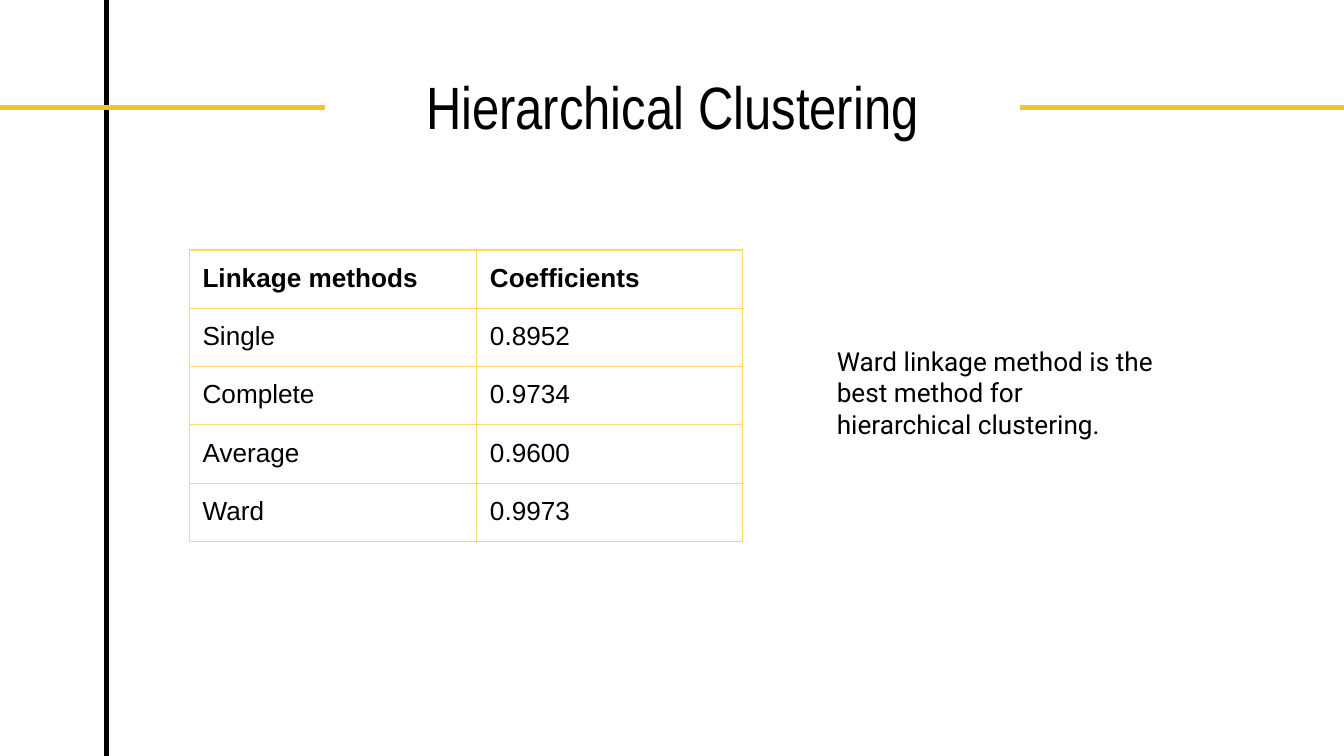
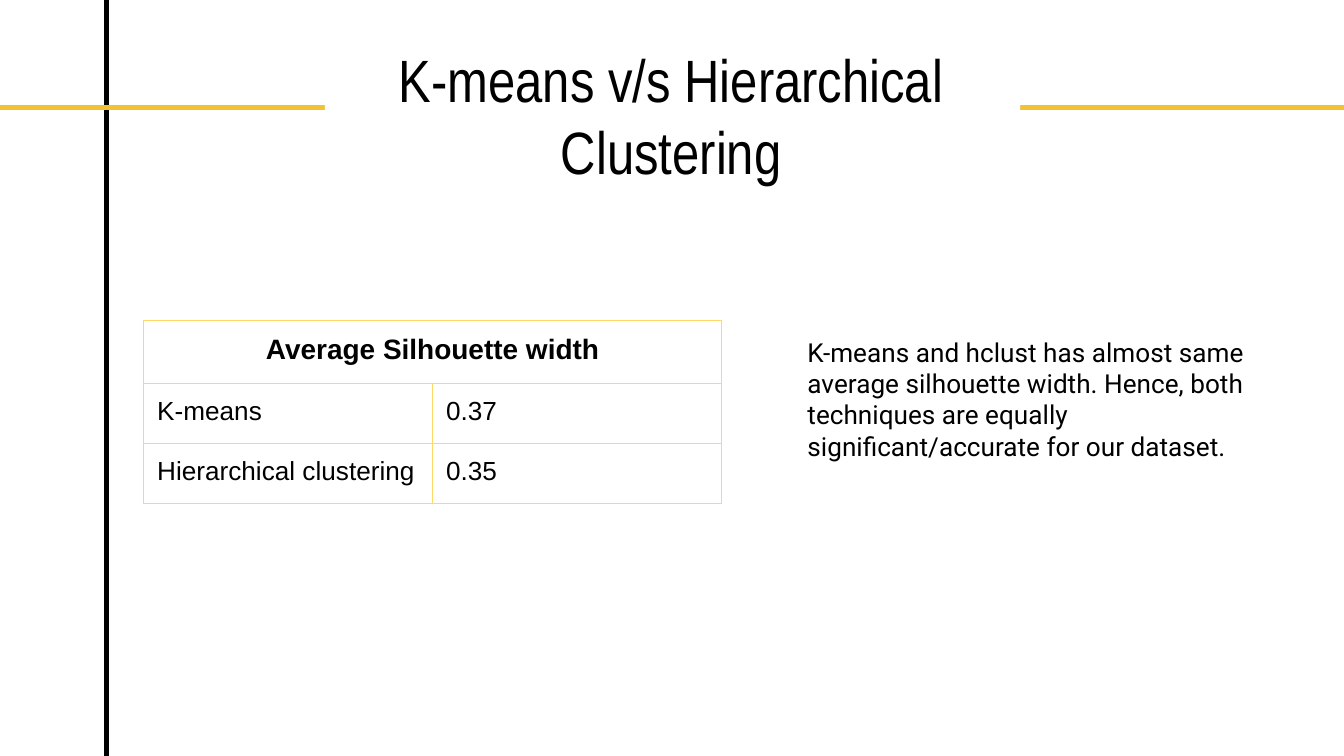
from lxml.etree import SubElement
from pptx import Presentation
from pptx.dml.color import RGBColor
from pptx.enum.shapes import MSO_CONNECTOR, MSO_SHAPE
from pptx.enum.text import MSO_ANCHOR, PP_ALIGN
from pptx.oxml import parse_xml
from pptx.oxml.ns import nsdecls, qn
from pptx.util import Pt

WIDE, HIGH = 720, 405
PAD = Pt(7.2)
COLORS = {"ink": "000000", "gold": "F1C232", "grid": "FFD966", "page": "FFFFFF"}


def style(frame, text, font, size, bold=False, align=PP_ALIGN.LEFT):
    frame.text = text
    frame.word_wrap = True
    para = frame.paragraphs[0]
    para.alignment = align
    face = para.runs[0].font
    face.name, face.size, face.bold = font, Pt(size), bold
    face.color.rgb = RGBColor.from_string(COLORS["ink"])


def add_text(slide, box, text, font, size, align=PP_ALIGN.LEFT):
    frame = slide.shapes.add_textbox(*map(Pt, box)).text_frame
    frame.margin_left = frame.margin_right = PAD
    frame.margin_top = frame.margin_bottom = PAD
    frame.vertical_anchor = MSO_ANCHOR.TOP
    style(frame, text, font, size, align=align)


pages = [
    {
        "title": "Hierarchical Clustering",
        "head": (194.4, 30.2, 332, 49),
        "spot": (101.3, 133.9),
        "cols": (154, 142.6),
        "rows": [30] * 5,
        "cells": [
            ("Linkage methods", "Coefficients"),
            ("Single", "0.8952"),
            ("Complete", "0.9734"),
            ("Average", "0.9600"),
            ("Ward", "0.9973"),
        ],
        "note": "Ward linkage method is the best method for hierarchical clustering.",
        "side": (441.2, 177.8, 187.2, 49),
    },
    {
        "title": "K-means v/s Hierarchical Clustering",
        "head": (172.8, 15.8, 373.7, 104.4),
        "spot": (77, 171.6),
        "cols": (154.8, 154.8),
        "rows": [33.8, 32.2, 32.2],
        "cells": [
            ("Average Silhouette width",),
            ("K-means", "0.37"),
            ("Hierarchical clustering", "0.35"),
        ],
        "note": "K-means and hclust has almost same average silhouette width. "
                "Hence, both techniques are equally significant/accurate for our dataset.",
        "side": (425.5, 172.8, 249.1, 92.9),
    },
]

# Black upright and gold rule behind the title
rules = [((57, 0, 57, HIGH), "ink"), ((WIDE, 57.5, 0, 57.5), "gold")]

prs = Presentation()
prs.slide_width, prs.slide_height = Pt(WIDE), Pt(HIGH)

for page in pages:
    slide = prs.slides.add_slide(prs.slide_layouts[6])
    slide.background.fill.solid()
    slide.background.fill.fore_color.rgb = RGBColor.from_string(COLORS["page"])

    # Shared rules and the white gap for the title
    for ends, color in rules:
        rule = slide.shapes.add_connector(MSO_CONNECTOR.STRAIGHT, *map(Pt, ends))
        rule.line.width = Pt(3)
        rule.line.color.rgb = RGBColor.from_string(COLORS[color])
        SubElement(rule._element.spPr, qn("a:effectLst"))
    gap = slide.shapes.add_shape(
        MSO_SHAPE.RECTANGLE, Pt(174), Pt(6.5), Pt(372.5), Pt(81.4))
    gap.shadow.inherit = False
    gap.fill.solid()
    gap.fill.fore_color.rgb = RGBColor.from_string(COLORS["page"])
    gap.line.fill.background()

    # Title
    add_text(slide, page["head"], page["title"], "Arial Narrow", 32, PP_ALIGN.CENTER)

    # Table
    cols, rows = page["cols"], page["rows"]
    size = (sum(cols), sum(rows))
    table = slide.shapes.add_table(
        len(rows), len(cols), *map(Pt, page["spot"] + size)).table
    table.first_row = table.horz_banding = False
    for col, width in zip(table.columns, cols):
        col.width = Pt(width)
    for row, height in zip(table.rows, rows):
        row.height = Pt(height)
    for r, words in enumerate(page["cells"]):
        span = len(words) < len(cols)
        if span:
            table.cell(r, 0).merge(table.cell(r, len(cols) - 1))
        for c, word in enumerate(words):
            style(table.cell(r, c).text_frame, word, "Arial", 15 if span else 14,
                  r == 0, PP_ALIGN.CENTER if span else PP_ALIGN.LEFT)

    # Cell padding, empty fill and thin borders
    for cell in table.iter_cells():
        cell.margin_left = cell.margin_right = PAD
        cell.margin_top = cell.margin_bottom = PAD
        cell.fill.background()
        props = cell._tc.get_or_add_tcPr()
        for i, edge in enumerate("LRTB"):
            props.insert(i, parse_xml(
                f'<a:ln{edge} {nsdecls("a")} w="{Pt(0.75)}"><a:solidFill>'
                f'<a:srgbClr val="{COLORS["grid"]}"/></a:solidFill></a:ln{edge}>'))

    # Remark beside the table
    add_text(slide, page["side"], page["note"], "Roboto", 14)

prs.save("out.pptx")
